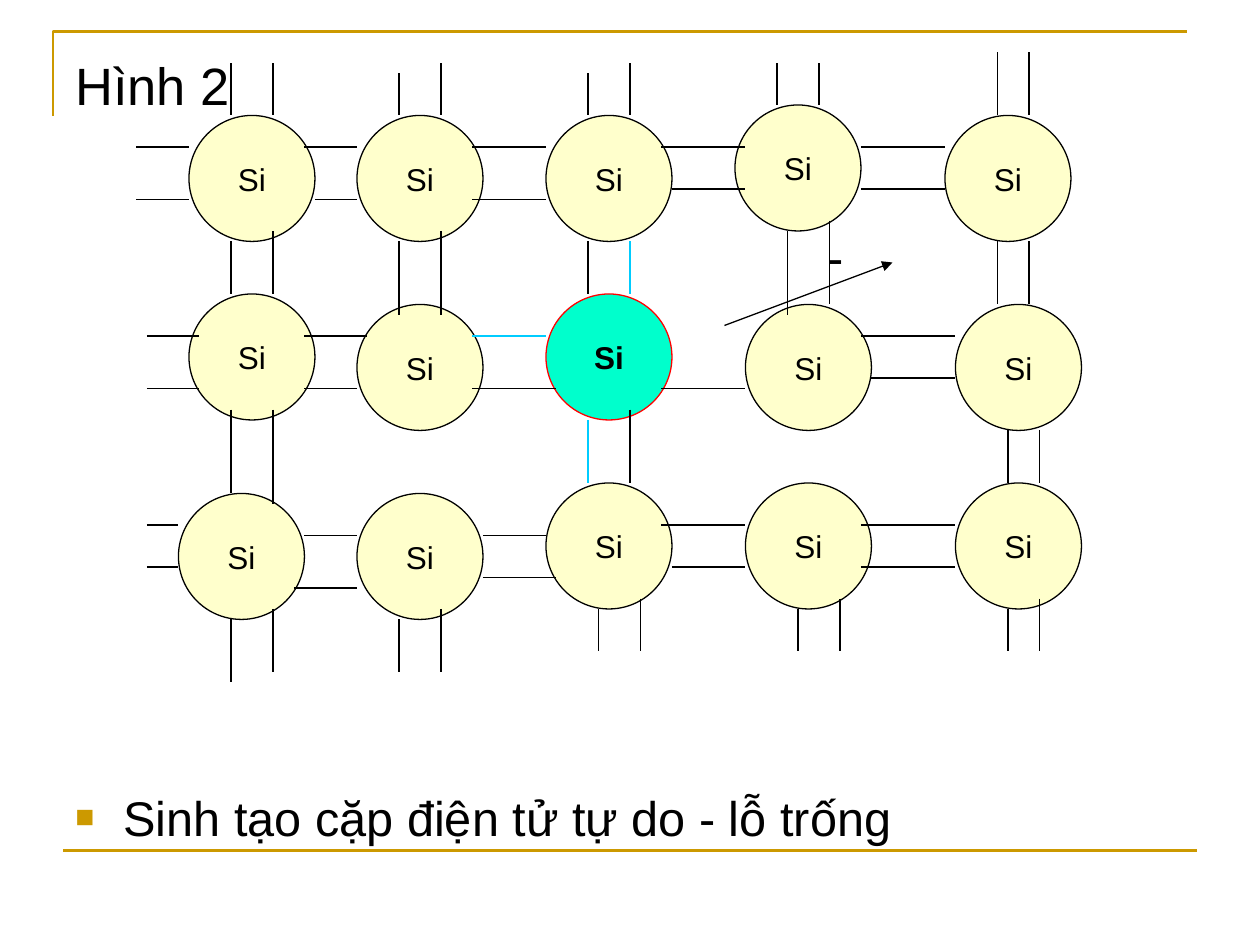
from dataclasses import dataclass
from lxml import etree
from pptx import Presentation
from pptx.dml.color import RGBColor
from pptx.enum.shapes import MSO_CONNECTOR, MSO_SHAPE
from pptx.enum.text import MSO_ANCHOR, PP_ALIGN
from pptx.oxml.ns import qn
from pptx.util import Inches, Pt

LINE = MSO_CONNECTOR.STRAIGHT
OVAL = MSO_SHAPE.OVAL
MIDDLE = MSO_ANCHOR.MIDDLE
CENTER = PP_ALIGN.CENTER


@dataclass(frozen=True)
class Theme:
    """Colours, font and type sizes."""
    ink: str = "000000"
    gold: str = "CC9900"
    cream: str = "FFFFCC"
    mint: str = "00FFCC"
    red: str = "FF0000"
    cyan: str = "00CCFF"
    font: str = "Arial"
    title: float = 30
    body: float = 27.8
    atom: float = 18
    rule: float = 1.5
    thin: float = 0.75


THEME = Theme()
COLS, ROWS, SIZE = 90, 60, 12

ATOMS = [
    (5, 6), (21, 6), (39, 6), (57, 5), (77, 6),
    (5, 23), (21, 24), (39, 23), (58, 24), (78, 24),
    (4, 42), (21, 42), (39, 41), (58, 41), (78, 41),
]
HOLE = (39, 23)

ACROSS = {
    9: [(0, 5), (16, 21), (32, 39), (50, 58), (69, 77)],
    13: [(51, 58), (69, 77)],
    14: [(0, 5), (17, 21), (32, 39)],
    27: [(1, 6), (16, 22), (32, 39), (69, 78)],
    31: [(70, 78)],
    32: [(1, 6), (16, 21), (32, 40), (50, 58)],
    45: [(1, 4), (50, 58), (69, 78)],
    46: [(16, 21), (33, 39)],
    49: [(1, 4), (51, 58), (69, 78)],
    50: [(33, 40)],
    51: [(15, 21)],
}
DOWN = {
    9: [(1, 6), (18, 23), (34, 42), (54, 60)],
    13: [(1, 6), (17, 23), (34, 43), (53, 59)],
    25: [(2, 6), (18, 25), (54, 59)],
    29: [(1, 6), (17, 25), (53, 59)],
    43: [(2, 6), (18, 23), (35, 41)],
    44: [(53, 57)],
    47: [(1, 6), (18, 23), (34, 41)],
    48: [(52, 57)],
    61: [(1, 5)],
    62: [(17, 25)],
    63: [(53, 57)],
    65: [(1, 5)],
    66: [(16, 24)],
    67: [(52, 57)],
    82: [(0, 6), (18, 24)],
    83: [(36, 41), (53, 57)],
    85: [(0, 6), (18, 24)],
    86: [(36, 41), (52, 57)],
}
BONDS = [(a, y, b, y) for y, spans in ACROSS.items() for a, b in spans]
BONDS += [(x, a, x, b) for x, spans in DOWN.items() for a, b in spans]
BROKEN = {(32, 27, 39, 27), (47, 18, 47, 23), (43, 35, 43, 41)}
ESCAPE = (56, 26, 72, 20)


def rgb(code):
    """Turn a hex code into a colour."""
    return RGBColor.from_string(code)


def style(font, size, bold=False):
    """Set the theme font on a font object."""
    font.name, font.size, font.bold = THEME.font, Pt(size), bold
    font.color.rgb = rgb(THEME.ink)


def add_line(slide, ends, color, width):
    """Draw a straight line without shadow."""
    line = slide.shapes.add_connector(LINE, *ends)
    line.line.color.rgb = rgb(color)
    line.line.width = Pt(width)
    etree.SubElement(line._element.spPr, qn("a:effectLst"))
    return line


def add_text(slide, box, text, size, bullet=False):
    """Place one paragraph, with a square bullet if asked."""
    frame = slide.shapes.add_textbox(*box).text_frame
    frame.word_wrap = True
    para = frame.paragraphs[0]
    para.text = text
    if bullet:
        props = para._p.get_or_add_pPr()
        props.set("marL", str(Inches(0.38)))
        props.set("indent", str(-Inches(0.38)))
        tint = etree.SubElement(props, qn("a:buClr"))
        etree.SubElement(tint, qn("a:srgbClr"), val=THEME.gold)
        etree.SubElement(props, qn("a:buSzPct"), val="65000")
        etree.SubElement(props, qn("a:buFont"), typeface=THEME.font)
        etree.SubElement(props, qn("a:buChar"), char="■")
    style(para.runs[0].font, size)


def add_frame(slide, box):
    """Draw the gold corner above and the gold rule below."""
    left, top, width, height = box
    path = slide.shapes.build_freeform(left, top + Inches(0.67))
    path.add_line_segments([(left, top), (left + width, top)], close=False)
    edge = path.convert_to_shape()
    edge.shadow.inherit = False
    edge.fill.background()
    edge.line.color.rgb = rgb(THEME.gold)
    edge.line.width = Pt(THEME.rule)
    start, base = left + Inches(0.08), top + height
    add_line(slide, (start, base, start + width, base), THEME.gold, THEME.rule)


def add_atom(slide, box, hole):
    """Draw one silicon atom; the hole is tinted and bold."""
    atom = slide.shapes.add_shape(OVAL, *box)
    atom.shadow.inherit = False
    atom.fill.solid()
    atom.fill.fore_color.rgb = rgb(THEME.mint if hole else THEME.cream)
    atom.line.color.rgb = rgb(THEME.red if hole else THEME.ink)
    atom.line.width = Pt(THEME.thin)
    frame = atom.text_frame
    frame.text = "Si"
    frame.word_wrap = False
    frame.vertical_anchor = MIDDLE
    para = frame.paragraphs[0]
    para.alignment = CENTER
    style(para.runs[0].font, THEME.atom, hole)


def add_lattice(slide, box):
    """Draw atoms, bonds and the escaping electron on a grid."""
    left, top, width, height = box
    dx, dy = width / COLS, height / ROWS

    def spot(x, y):
        """Turn a grid point into slide lengths."""
        return round(left + x * dx), round(top + y * dy)

    def link(bond, color):
        """Join two grid points."""
        ends = spot(*bond[:2]) + spot(*bond[2:])
        return add_line(slide, ends, color, THEME.thin)

    size = round(SIZE * dx), round(SIZE * dy)
    for cell in ATOMS:
        add_atom(slide, spot(*cell) + size, cell == HOLE)
    for bond in BONDS:
        link(bond, THEME.cyan if bond in BROKEN else THEME.ink)
    arrow = link(ESCAPE, THEME.ink)
    etree.SubElement(arrow.line._get_or_add_ln(), qn("a:tailEnd"), type="triangle")


def main():
    """Build the slide and save it."""
    deck = Presentation()
    deck.slide_width, deck.slide_height = Inches(10), Inches(7.5)
    slide = deck.slides.add_slide(deck.slide_layouts[6])
    add_frame(slide, (Inches(0.42), Inches(0.25), Inches(9), Inches(6.5)))
    add_text(slide, (Inches(0.5), Inches(0.37), Inches(9), Inches(0.6)),
             "Hình 2", THEME.title)
    add_text(slide, (Inches(6.47), Inches(1.75), Inches(0.5), Inches(0.55)),
             "-", THEME.body)
    add_text(slide, (Inches(0.5), Inches(6.2), Inches(9), Inches(0.5)),
             "Sinh tạo cặp điện tử tự do - lỗ trống", THEME.body, True)
    add_lattice(slide, (Inches(13 / 12), Inches(5 / 12), Inches(7.5), Inches(5)))
    deck.save("out.pptx")


if __name__ == "__main__":
    main()
